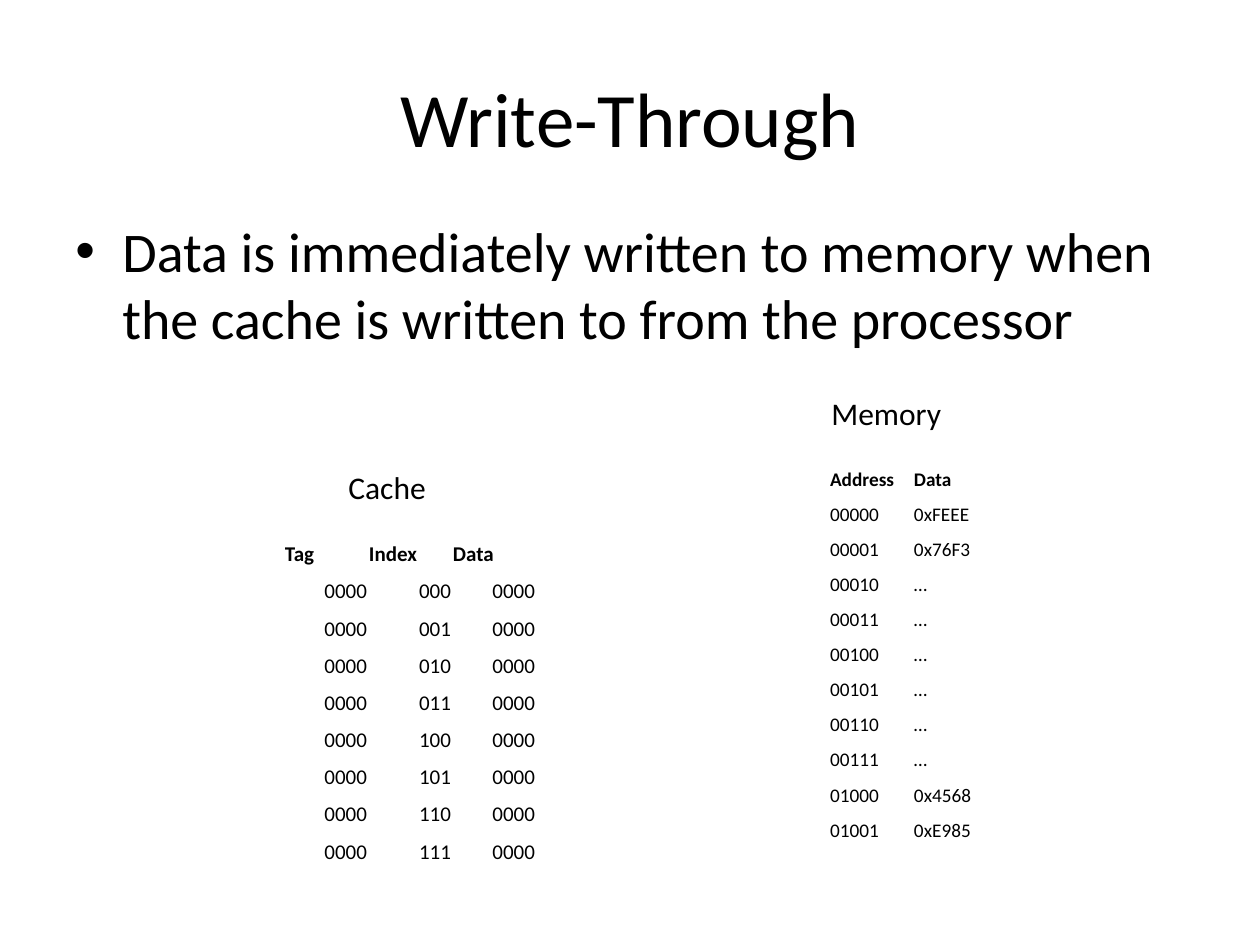
"""Build the Write-Through cache slide."""
from lxml.etree import SubElement
from pptx import Presentation
from pptx.dml.color import RGBColor
from pptx.enum.text import MSO_ANCHOR, PP_ALIGN
from pptx.oxml.ns import qn
from pptx.util import Pt

PX = 914400 / 126
FONT = "Calibri"
HUES = {"ink": "000000", "page": "FFFFFF"}

TITLE = "Write-Through"
POINT = ("Data is immediately written to memory when "
         "the cache is written to from the processor")
LABELS = [("Cache", (336, 462, 210, 50)), ("Memory", (819, 388, 168, 50))]

WORDS = ["0xFEEE", "0x76F3"] + ["…"] * 6 + ["0x4568", "0xE985"]
MEMORY = [("Address", "Data")] + [(f"{i:05b}", word) for i, word in enumerate(WORDS)]
CACHE = [("Tag", "Index", "Data")] + [("0000", f"{i:03b}", "0000") for i in range(8)]
TABLES = [
    (MEMORY, (829, 462), 28, 11, PP_ALIGN.LEFT),
    (CACHE, (284, 536), 26, 12, PP_ALIGN.RIGHT),
]
COL = 84


def emu(px):
    return round(px * PX)


def write(para, text, size, bold=False, align=PP_ALIGN.LEFT):
    para.alignment = align
    run = para.add_run()
    run.text = text
    font = run.font
    font.name, font.size, font.bold = FONT, Pt(size), bold
    font.color.rgb = RGBColor.from_string(HUES["ink"])


def add_text(slide, box, text, size, align=PP_ALIGN.LEFT, anchor=MSO_ANCHOR.TOP):
    frame = slide.shapes.add_textbox(*map(emu, box)).text_frame
    frame.word_wrap = True
    frame.vertical_anchor = anchor
    para = frame.paragraphs[0]
    write(para, text, size, align=align)
    return para


def add_bullet(para, indent):
    para.space_before = Pt(8)
    props = para._p.get_or_add_pPr()
    props.set("marL", str(emu(indent)))
    props.set("indent", str(-emu(indent)))
    SubElement(props, qn("a:buFont"), typeface="Arial")
    SubElement(props, qn("a:buChar"), char="•")


def add_grid(slide, rows, spot, high, size, align):
    count = len(rows[0])
    box = (*spot, COL * count, high * len(rows))
    table = slide.shapes.add_table(len(rows), count, *map(emu, box)).table
    table.first_row = table.horz_banding = False
    for r, row in enumerate(rows):
        for c, text in enumerate(row):
            cell = table.cell(r, c)
            cell.fill.background()
            cell.vertical_anchor = MSO_ANCHOR.BOTTOM
            cell.margin_left = cell.margin_right = emu(1)
            cell.margin_top = cell.margin_bottom = emu(6)
            head = r == 0
            write(cell.text_frame.paragraphs[0], text, size, head,
                  PP_ALIGN.LEFT if head else align)


def main():
    deck = Presentation()
    deck.slide_width, deck.slide_height = emu(1260), emu(945)
    slide = deck.slides.add_slide(deck.slide_layouts[6])
    fill = slide.background.fill
    fill.solid()
    fill.fore_color.rgb = RGBColor.from_string(HUES["page"])
    add_text(slide, (63, 38, 1134, 158), TITLE, 44, PP_ALIGN.CENTER, MSO_ANCHOR.MIDDLE)
    add_bullet(add_text(slide, (63, 210, 1134, 158), POINT, 32), 47)
    for text, box in LABELS:
        add_text(slide, box, text, 18)
    for grid in TABLES:
        add_grid(slide, *grid)
    deck.save("out.pptx")


if __name__ == "__main__":
    main()
